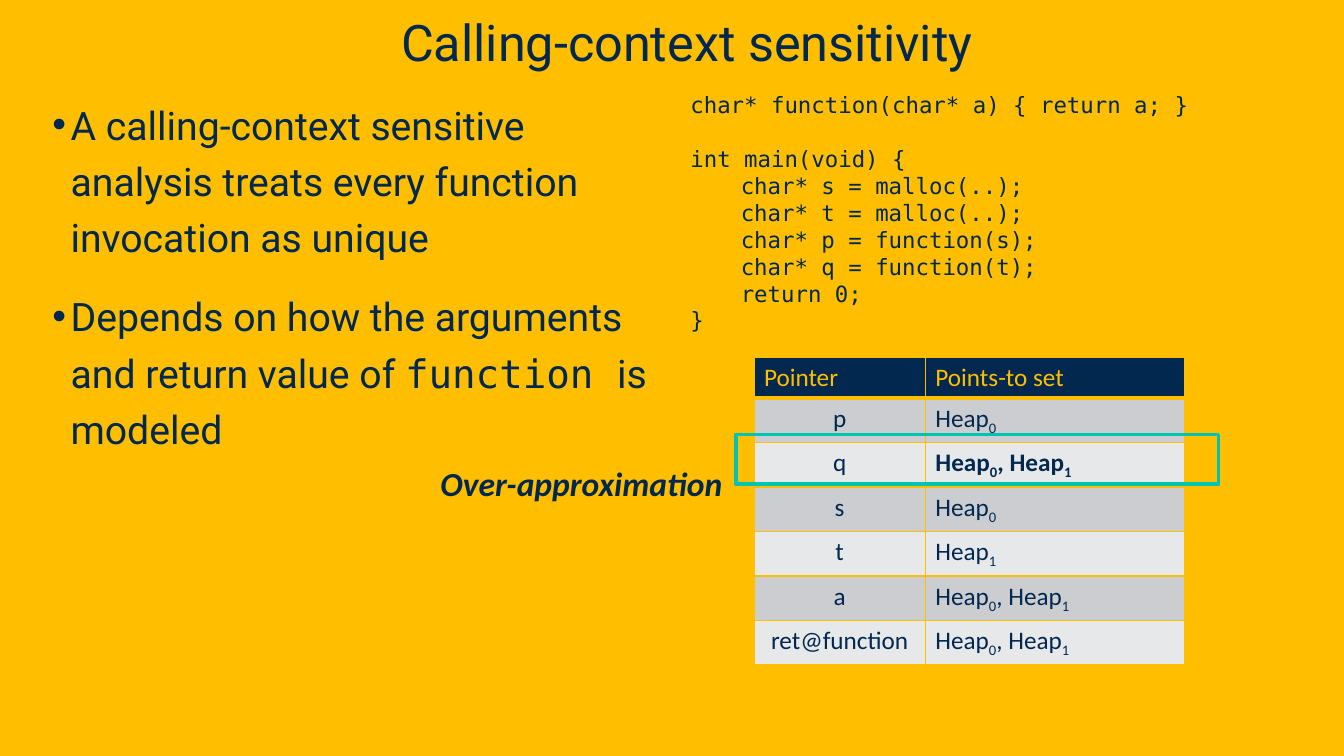
from lxml.etree import SubElement
from pptx import Presentation
from pptx.dml.color import RGBColor
from pptx.enum.shapes import MSO_SHAPE
from pptx.enum.text import MSO_ANCHOR, PP_ALIGN
from pptx.oxml.ns import qn
from pptx.util import Cm, Pt

COLORS = {"yellow": "FFBE00", "navy": "022850", "teal": "00C4B2",
          "dark_band": "CCCDD0", "light_band": "E7E8E9"}
SANS, MONO, TABLE_FONT = "Roboto", "DejaVu Sans Mono", "Calibri"

CODE = [
    "char* function(char* a) { return a; }",
    "int main(void) {",
    "\tchar* s = malloc(..);",
    "\tchar* t = malloc(..);",
    "\tchar* p = function(s);",
    "\tchar* q = function(t);",
    "\treturn 0;",
    "}",
]
POINTS = [
    [("A calling-context sensitive analysis treats every function "
      "invocation as unique", SANS)],
    [("Depends on how the arguments and return value of ", SANS),
     ("function ", MONO), ("is modeled", SANS)],
]
# Each pointer with the indices of the heap objects it may point to
POINTS_TO = [("p", "0"), ("q", "01"), ("s", "0"), ("t", "1"),
             ("a", "01"), ("ret@function", "01")]
OVER_APPROXIMATED = "q"


def rgb(name):
    return RGBColor.from_string(COLORS[name])


class SlideBuilder:
    """Holds the slide and adds elements in its style."""

    def __init__(self, slide):
        self.slide = slide
        background = slide.background.fill
        background.solid()
        background.fore_color.rgb = rgb("yellow")

    def add_text(self, paragraph, text, size, font, color="navy", bold=False,
                 italic=False):
        run = paragraph.add_run()
        run.text = text
        run.font.size = Pt(size)
        run.font.name = font
        run.font.bold = bold
        run.font.italic = italic
        run.font.color.rgb = rgb(color)
        return run

    def frame(self, left, top, width, height, wrap=True):
        box = self.slide.shapes.add_textbox(Cm(left), Cm(top), Cm(width), Cm(height))
        box.text_frame.word_wrap = wrap
        return box.text_frame

    def indent(self, paragraph, left, first=0):
        properties = paragraph._p.get_or_add_pPr()
        properties.set("marL", str(Cm(left)))
        properties.set("indent", str(Cm(first)))
        return properties

    def title(self, text):
        frame = self.frame(0, 0, 33.87, 1.93)
        frame.vertical_anchor = MSO_ANCHOR.BOTTOM
        heading = frame.paragraphs[0]
        heading.alignment = PP_ALIGN.CENTER
        self.indent(heading, 0.76)
        self.add_text(heading, text, 36, SANS)

    def code(self, lines, left, top, width, height):
        frame = self.frame(left, top, width, height)
        frame.text = "\n".join(lines)
        for paragraph in frame.paragraphs:
            if paragraph.text.startswith("int main"):
                paragraph.space_before = Pt(19.3)
            font = paragraph.runs[0].font
            font.size, font.name = Pt(16), MONO
            font.color.rgb = rgb("navy")

    def bullets(self, points, left, top, width, height):
        frame = self.frame(left, top, width, height)
        for index, parts in enumerate(points):
            point = frame.add_paragraph() if index else frame.paragraphs[0]
            point.line_spacing = 1.2
            point.space_before, point.space_after = Pt(10), Pt(6)
            properties = self.indent(point, 0.46, -0.46)
            SubElement(properties, qn("a:buFont"), typeface="Arial")
            SubElement(properties, qn("a:buChar"), char="•")
            for text, font in parts:
                self.add_text(point, text, 28, font)

    def style_cell(self, cell, fill, bottom=1):
        properties = cell._tc.get_or_add_tcPr()
        for side, width in (("L", 1), ("R", 1), ("T", 1), ("B", bottom)):
            line = SubElement(properties, qn(f"a:ln{side}"), w=str(Pt(width)))
            solid = SubElement(line, qn("a:solidFill"))
            SubElement(solid, qn("a:srgbClr"), val=COLORS["yellow"])
        cell.fill.solid()
        cell.fill.fore_color.rgb = rgb(fill)

    def heap_set(self, paragraph, indices, bold):
        """Add Heap with a subscript for each index."""
        for position, index in enumerate(indices):
            name = ", Heap" if position else "Heap"
            self.add_text(paragraph, name, 18, TABLE_FONT, bold=bold)
            subscript = self.add_text(paragraph, index, 18, TABLE_FONT, bold=bold)
            subscript.font._element.set("baseline", "-25000")

    def points_to_table(self, rows, left, top, widths, header_height, row_height):
        height = header_height + row_height * len(rows)
        table = self.slide.shapes.add_table(
            len(rows) + 1, len(widths), Cm(left), Cm(top),
            Cm(sum(widths)), Cm(height)).table
        for column, width in zip(table.columns, widths):
            column.width = Cm(width)
        for row in table.rows:
            row.height = Cm(row_height)
        table.rows[0].height = Cm(header_height)

        for column, label in enumerate(("Pointer", "Points-to set")):
            cell = table.cell(0, column)
            self.style_cell(cell, "navy", bottom=3)
            self.add_text(cell.text_frame.paragraphs[0], label, 18, TABLE_FONT, "yellow")
        for number, (pointer, indices) in enumerate(rows, 1):
            pointer_cell, set_cell = table.cell(number, 0), table.cell(number, 1)
            for cell in (pointer_cell, set_cell):
                self.style_cell(cell, "dark_band" if number % 2 else "light_band")
            name = pointer_cell.text_frame.paragraphs[0]
            name.alignment = PP_ALIGN.CENTER
            self.add_text(name, pointer, 18, TABLE_FONT)
            self.heap_set(set_cell.text_frame.paragraphs[0], indices,
                          pointer == OVER_APPROXIMATED)

    def highlight(self, left, top, width, height):
        outline = self.slide.shapes.add_shape(
            MSO_SHAPE.RECTANGLE, Cm(left), Cm(top), Cm(width), Cm(height))
        outline.shadow.inherit = False
        outline.fill.background()
        outline.line.color.rgb = rgb("teal")
        outline.line.width = Pt(2.75)

    def callout(self, text, left, top, width, height):
        frame = self.frame(left, top, width, height, wrap=False)
        self.add_text(frame.paragraphs[0], text, 24, TABLE_FONT, bold=True, italic=True)


def main():
    presentation = Presentation()
    presentation.slide_width, presentation.slide_height = Cm(33.87), Cm(19.05)
    builder = SlideBuilder(presentation.slides.add_slide(presentation.slide_layouts[6]))
    builder.code(CODE, 17.15, 2.18, 15.65, 14.02)
    builder.title("Calling-context sensitivity")
    builder.bullets(POINTS, 1.07, 2.18, 15.65, 14.02)
    builder.points_to_table(POINTS_TO, 19, 9, (4.32, 6.53), 1.03, 1.11)
    builder.highlight(18.54, 10.95, 12.17, 1.24)
    builder.callout("Over-approximation", 10.85, 11.53, 7.7, 1.27)
    presentation.save("out.pptx")


if __name__ == "__main__":
    main()
